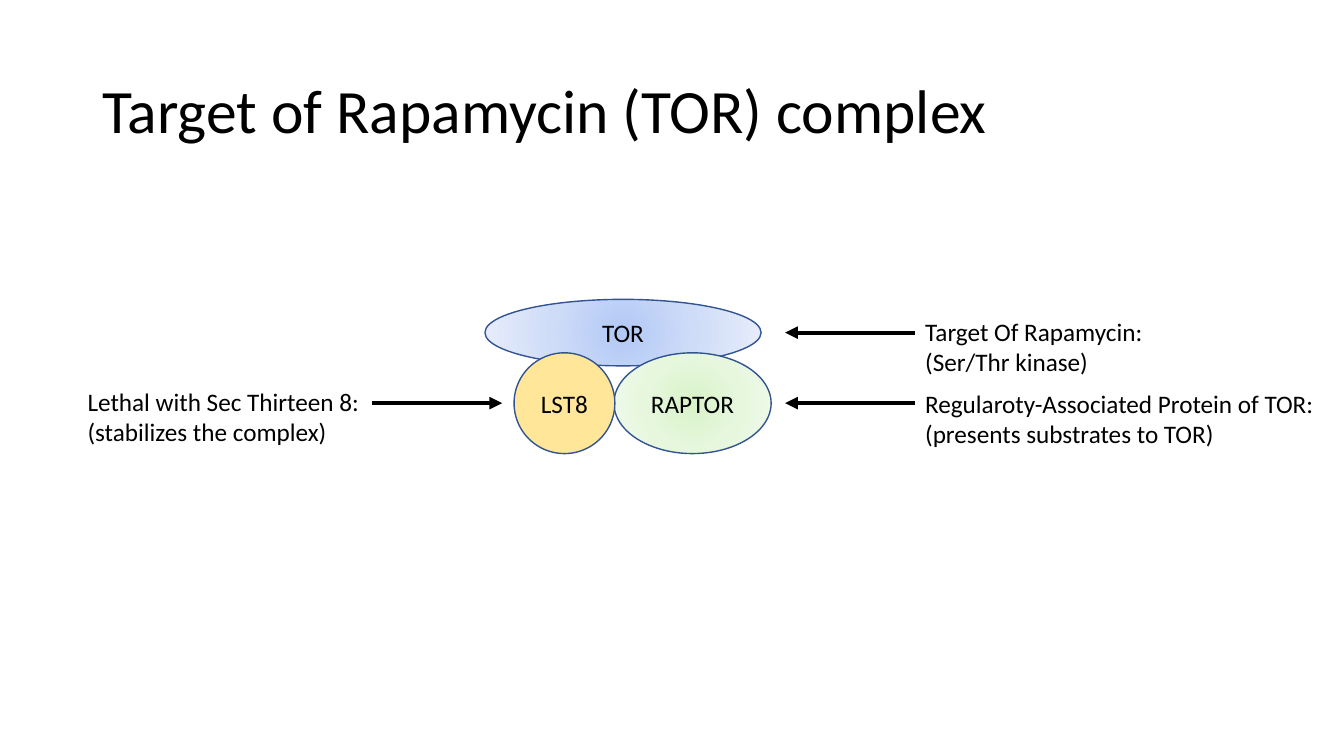
"""Build the slide that explains the Target of Rapamycin complex."""
from dataclasses import dataclass

from lxml.etree import SubElement
from pptx import Presentation
from pptx.dml.color import RGBColor
from pptx.enum.shapes import MSO_CONNECTOR, MSO_SHAPE
from pptx.enum.text import MSO_ANCHOR, MSO_AUTO_SIZE, PP_ALIGN
from pptx.oxml.ns import qn
from pptx.util import Inches, Pt

WIDTH, HEIGHT = Inches(13.333), Inches(7.5)


@dataclass(frozen=True)
class Theme:
    """Colours, font and sizes of the slide."""
    font: str = "Calibri"
    title_size: int = 44
    body_size: int = 18
    ink: str = "000000"
    outline: str = "325491"
    outline_width: int = 1
    arrow_width: int = 3
    blue: tuple[str, ...] = ("B2C8F5", "CFDCF8", "E7EDFB")
    green: tuple[str, ...] = ("D9F3C9", "E6F7DD", "F2FBEE")
    yellow: tuple[str, ...] = ("FFE699",)


THEME = Theme()


@dataclass(frozen=True)
class Area:
    """Left, top, width and height in percent of the slide's size."""
    left: float
    top: float
    width: float
    height: float

    def lengths(self) -> tuple[int, int, int, int]:
        """Return the area in slide units."""
        return (across(self.left), down(self.top),
                across(self.width), down(self.height))


@dataclass(frozen=True)
class Protein:
    """One subunit of the complex."""
    name: str
    area: Area
    colors: tuple[str, ...]


@dataclass(frozen=True)
class Label:
    """One explanation of a subunit."""
    text: str
    area: Area


@dataclass(frozen=True)
class Arrow:
    """One level arrow, with its ends in percent of the slide's size."""
    start: float
    end: float
    level: float


LOWER_TOP, LOWER_HEIGHT = 46.67, 13.33
UPPER_LEVEL, LOWER_LEVEL = 44, 53.33
LABEL_LEFT, LABEL_HEIGHT, ARROW_LENGTH = 68.1, 9.47, 9.68
LEFT_ARROW_START = 27.68
TITLE_AREA = Area(6.88, 5.33, 86.25, 19.33)

PROTEINS = (
    Protein("TOR", Area(36.08, 39.6, 20.55, 8.8), THEME.blue),
    Protein("RAPTOR", Area(45.68, LOWER_TOP, 11.7, LOWER_HEIGHT), THEME.green),
    Protein("LST8", Area(38.25, LOWER_TOP, 7.5, LOWER_HEIGHT), THEME.yellow),
)
LABELS = (
    Label("Target Of Rapamycin:\n(Ser/Thr kinase)",
          Area(LABEL_LEFT, 41.2, 17.85, LABEL_HEIGHT)),
    Label("Regularoty-Associated Protein of TOR:\n(presents substrates to TOR)",
          Area(LABEL_LEFT, 50.67, 31.95, LABEL_HEIGHT)),
    Label("Lethal with Sec Thirteen 8:\n(stabilizes the complex)",
          Area(5.78, 50.4, 22.2, LABEL_HEIGHT)),
)
ARROWS = (
    Arrow(LABEL_LEFT, LABEL_LEFT - ARROW_LENGTH, UPPER_LEVEL),
    Arrow(LABEL_LEFT, LABEL_LEFT - ARROW_LENGTH, LOWER_LEVEL),
    Arrow(LEFT_ARROW_START, LEFT_ARROW_START + ARROW_LENGTH, LOWER_LEVEL),
)


def across(share: float) -> int:
    """Turn a percentage of the width into a length."""
    return round(WIDTH * share / 100)


def down(share: float) -> int:
    """Turn a percentage of the height into a length."""
    return round(HEIGHT * share / 100)


def write(box, text: str, *, size: int = THEME.body_size, align=PP_ALIGN.LEFT,
          anchor=MSO_ANCHOR.TOP, wrap: bool = True, spacing: float = 1.0,
          fit=MSO_AUTO_SIZE.NONE) -> None:
    """Fill a box with one paragraph for each line of text."""
    frame = box.text_frame
    frame.word_wrap, frame.auto_size, frame.vertical_anchor = wrap, fit, anchor
    for index, line in enumerate(text.split("\n")):
        para = frame.add_paragraph() if index else frame.paragraphs[0]
        para.alignment, para.line_spacing = align, spacing
        span = para.add_run()
        span.text = line
        span.font.name, span.font.size = THEME.font, Pt(size)
        span.font.color.rgb = RGBColor.from_string(THEME.ink)


def fill_radially(shape, colors: tuple[str, ...]) -> None:
    """Give a shape a gradient that runs from its centre outwards."""
    shape.fill.gradient()
    gradient = shape.element.spPr.find(qn("a:gradFill"))
    for child in list(gradient):
        gradient.remove(child)
    stops = SubElement(gradient, qn("a:gsLst"))
    for index, color in enumerate(colors):
        position = 100000 * index // (len(colors) - 1)
        stop = SubElement(stops, qn("a:gs"), pos=str(position))
        SubElement(stop, qn("a:srgbClr"), val=color)
    circle = SubElement(gradient, qn("a:path"), path="circle")
    SubElement(circle, qn("a:fillToRect"),
               dict.fromkeys("ltrb", "50000"))


def draw_protein(page, protein: Protein) -> None:
    """Draw a subunit as a named ellipse."""
    shape = page.shapes.add_shape(MSO_SHAPE.OVAL, *protein.area.lengths())
    shape.shadow.inherit = False
    if len(protein.colors) > 1:
        fill_radially(shape, protein.colors)
    else:
        shape.fill.solid()
        shape.fill.fore_color.rgb = RGBColor.from_string(protein.colors[0])
    shape.line.color.rgb = RGBColor.from_string(THEME.outline)
    shape.line.width = Pt(THEME.outline_width)
    write(shape, protein.name, align=PP_ALIGN.CENTER, anchor=MSO_ANCHOR.MIDDLE)


def draw_arrow(page, arrow: Arrow) -> None:
    """Draw a level arrow with a triangular head."""
    level = down(arrow.level)
    line = page.shapes.add_connector(MSO_CONNECTOR.STRAIGHT, across(arrow.start),
                                     level, across(arrow.end), level)
    line.line.color.rgb = RGBColor.from_string(THEME.ink)
    line.line.width = Pt(THEME.arrow_width)
    properties = line.element.spPr
    SubElement(properties.find(qn("a:ln")), qn("a:tailEnd"), type="triangle")
    SubElement(properties, qn("a:effectLst"))


def main() -> None:
    """Build and save the deck."""
    deck = Presentation()
    deck.slide_width, deck.slide_height = WIDTH, HEIGHT
    page = deck.slides.add_slide(deck.slide_layouts[6])
    title = page.shapes.add_textbox(*TITLE_AREA.lengths())
    write(title, "Target of Rapamycin (TOR) complex", size=THEME.title_size,
          anchor=MSO_ANCHOR.MIDDLE, spacing=0.9)
    for protein in PROTEINS:
        draw_protein(page, protein)
    for arrow in ARROWS:
        draw_arrow(page, arrow)
    for label in LABELS:
        box = page.shapes.add_textbox(*label.area.lengths())
        write(box, label.text, wrap=False, fit=MSO_AUTO_SIZE.SHAPE_TO_FIT_TEXT)
    deck.save("out.pptx")


if __name__ == "__main__":
    main()
